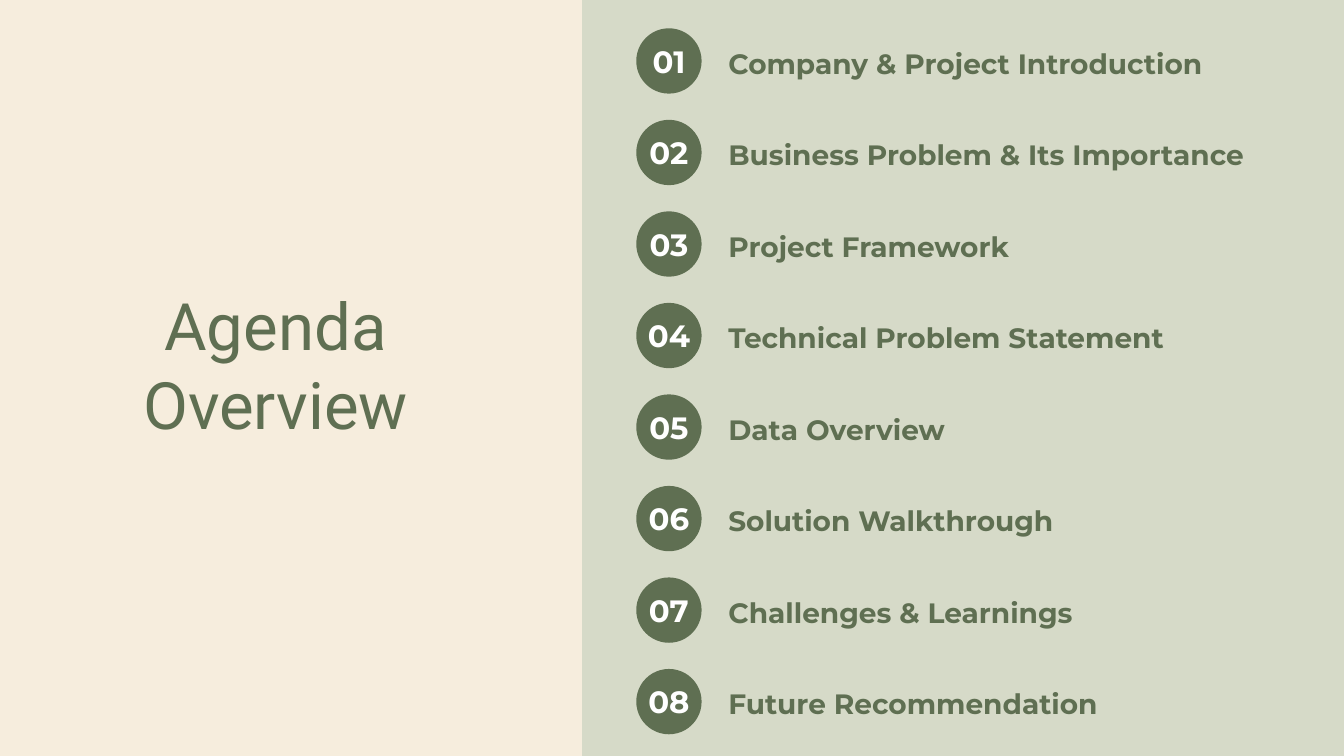
"""Build the agenda overview slide: a title beside eight numbered topics."""
import pptx
import pptx.dml.color
import pptx.enum.shapes
import pptx.enum.text
import pptx.util

Cm, Pt = pptx.util.Cm, pptx.util.Pt
RGB = pptx.dml.color.RGBColor.from_string
SHAPE = pptx.enum.shapes.MSO_SHAPE
ALIGN = pptx.enum.text.PP_ALIGN
ANCHOR = pptx.enum.text.MSO_ANCHOR
FIT = pptx.enum.text.MSO_AUTO_SIZE

THEME = {
    "cream": RGB("F6EDDD"),
    "sage": RGB("D6DAC8"),
    "green": RGB("5F6F52"),
    "title": {"font": {"name": "Roboto", "size": Pt(70), "bold": False, "color": RGB("5F6F52")},
              "line": Pt(84.7), "align": ALIGN.CENTER, "inset": Cm(0),
              "frame": {"auto_size": FIT.SHAPE_TO_FIT_TEXT, "vertical_anchor": ANCHOR.TOP}},
    "number": {"font": {"name": "Montserrat", "size": Pt(33), "bold": True, "color": RGB("FFFFFF")},
               "line": Pt(46.2), "align": ALIGN.CENTER, "inset": Cm(0.14),
               "frame": {"auto_size": FIT.NONE, "vertical_anchor": ANCHOR.MIDDLE}},
    "topic": {"font": {"name": "Montserrat", "size": Pt(30), "bold": True, "color": RGB("5F6F52")},
              "line": Pt(42), "align": ALIGN.LEFT, "inset": Cm(0),
              "frame": {"auto_size": FIT.SHAPE_TO_FIT_TEXT, "vertical_anchor": ANCHOR.TOP}},
}
TOPICS = [
    "Company & Project Introduction",
    "Business Problem & Its Importance",
    "Project Framework",
    "Technical Problem Statement",
    "Data Overview",
    "Solution Walkthrough",
    "Challenges & Learnings",
    "Future Recommendation",
]
FIRST_TOP, ROW_STEP = 1.07, 3.46


def add_filled(s, kind, box, color):
    sp = s.shapes.add_shape(kind, *map(Cm, box))
    sp.shadow.inherit = False
    sp.fill.solid()
    sp.fill.fore_color.rgb = color
    sp.line.fill.background()


def add_text(s, text, box, style):
    tf = s.shapes.add_textbox(*map(Cm, box)).text_frame
    tf.word_wrap = True
    for side in ("left", "top", "right", "bottom"):
        setattr(tf, f"margin_{side}", style["inset"])
    for name, value in style["frame"].items():
        setattr(tf, name, value)
    p = tf.paragraphs[0]
    p.alignment = style["align"]
    p.line_spacing = style["line"]
    r = p.add_run()
    r.text = text
    for name, value in style["font"].items():
        if name == "color":
            r.font.color.rgb = value
        else:
            setattr(r.font, name, value)


prs = pptx.Presentation()
prs.slide_width, prs.slide_height = Cm(50.8), Cm(28.58)
s = prs.slides.add_slide(prs.slide_layouts[6])
s.background.fill.solid()
s.background.fill.fore_color.rgb = THEME["cream"]

add_filled(s, SHAPE.RECTANGLE, (22, -0.76, 29.29, 29.69), THEME["sage"])
add_text(s, "Agenda Overview", (1.17, 10.77, 18.49, 5.92), THEME["title"])

for i, topic in enumerate(TOPICS):
    top = FIRST_TOP + i * ROW_STEP
    add_filled(s, SHAPE.OVAL, (24.05, top, 2.47, 2.47), THEME["green"])
    add_text(s, f"{i + 1:02d}", (24.28, top, 2.01, 2.24), THEME["number"])
    add_text(s, topic, (27.53, top + 0.46, 21.74, 1.4), THEME["topic"])

prs.save("out.pptx")
